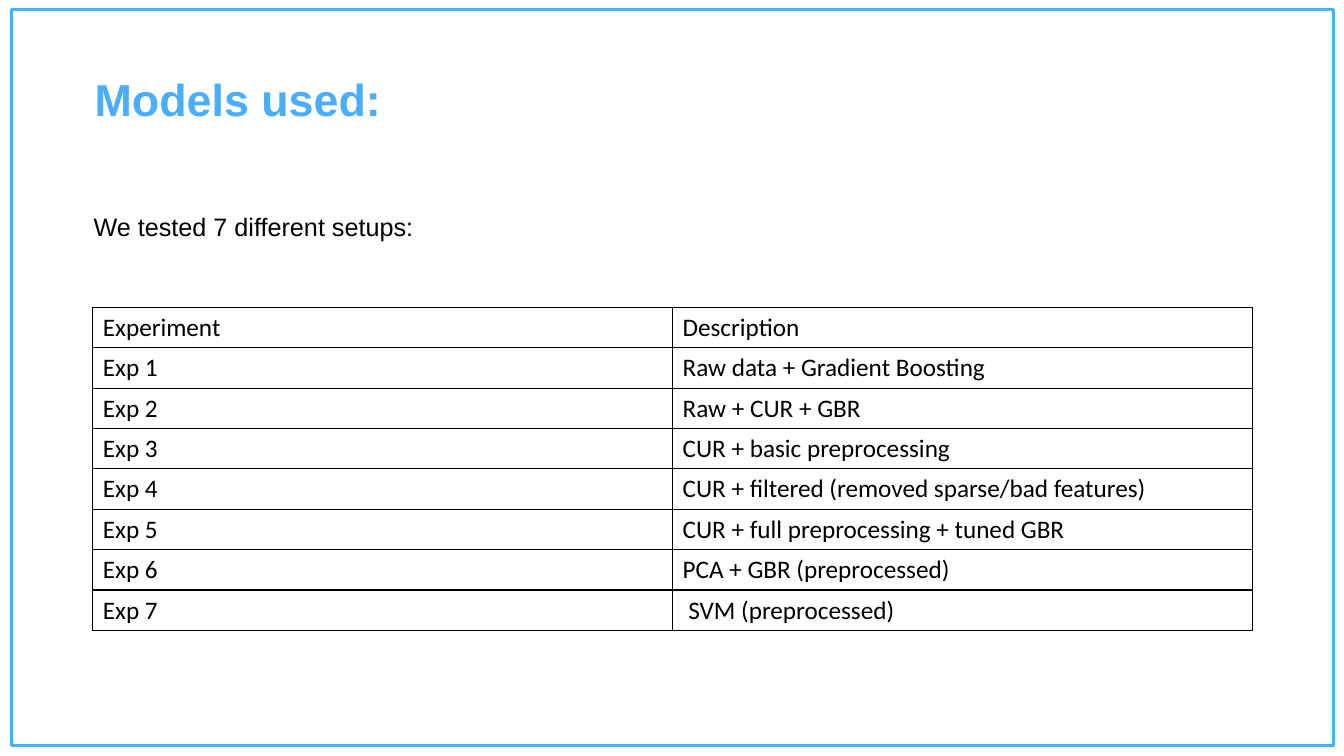
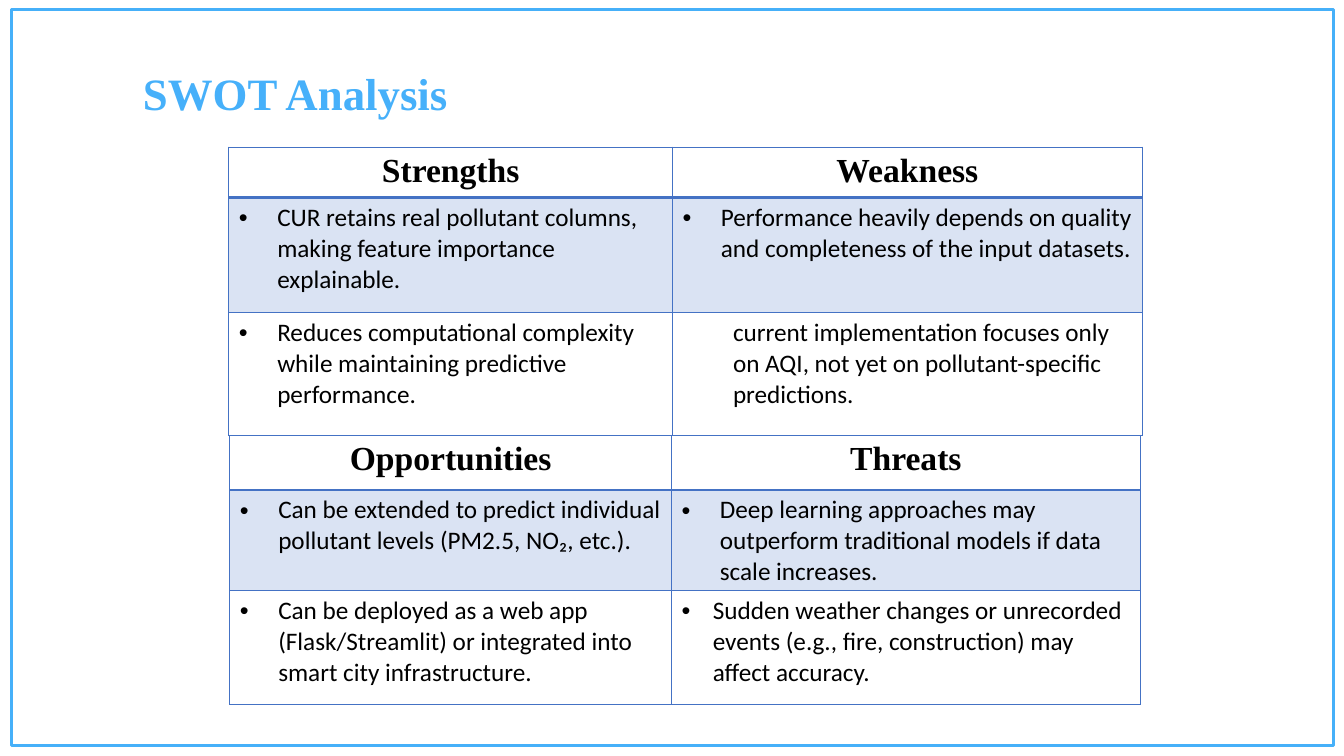
"""Build two slides: the tested model setups and a SWOT analysis."""
from lxml import etree
from pptx import Presentation
from pptx import util as u
from pptx.dml.color import RGBColor
from pptx.enum import shapes, text
from pptx.oxml import ns

SETUPS = [
    ("Experiment", "Description"),
    ("Exp 1", "Raw data + Gradient Boosting"),
    ("Exp 2", "Raw + CUR + GBR"),
    ("Exp 3", "CUR + basic preprocessing"),
    ("Exp 4", "CUR + filtered (removed sparse/bad features)"),
    ("Exp 5", "CUR + full preprocessing + tuned GBR"),
    ("Exp 6", "PCA + GBR (preprocessed)"),
    ("Exp 7", " SVM (preprocessed)"),
]
BULLET, TIGHT, PLAIN = (0.38, True), (0.31, True), (0.5, False)
SWOT = [
    dict(at=(2.27, 1.46), cols=(4.4, 4.66), rows=(0.49, 1.14, 1.22),
         heads=("Strengths", "Weakness"),
         points=[
             [("CUR retains real pollutant columns, making feature importance explainable.", BULLET),
              ("Performance heavily depends on quality and completeness of the input datasets.", BULLET)],
             [("Reduces computational complexity while maintaining predictive performance.", BULLET),
              ("current implementation focuses only on AQI, not yet on pollutant-specific predictions.", PLAIN)],
         ]),
    dict(at=(2.28, 4.32), cols=(4.38, 4.65), rows=(0.54, 1.0, 1.13),
         heads=("Opportunities", "Threats"),
         points=[
             [("Can be extended to predict individual pollutant levels (PM2.5, NO₂, etc.).", BULLET),
              ("Deep learning approaches may outperform traditional models if data scale increases.", BULLET)],
             [("Can be deployed as a web app (Flask/Streamlit) or integrated into smart city infrastructure.", BULLET),
              ("Sudden weather changes or unrecorded events (e.g., fire, construction) may affect accuracy.", TIGHT)],
         ]),
]


class Theme:
    """Colours, fonts and type sizes."""
    frame, ink, grid, rule, band = "46B0F9", "000000", "000000", "4472C4", "DAE3F3"
    sans, serif, body_font = "Arial", "Times New Roman", "Calibri"
    title, head, body = 32, 24, 18


def add_run(p, words, font, size, color=Theme.ink, bold=False):
    r = p.add_run()
    r.text = words
    r.font.name, r.font.size, r.font.bold = font, u.Pt(size), bold
    r.font.color.rgb = RGBColor.from_string(color)


def add_text(s, at, words, font, size, color=Theme.ink, bold=False):
    tf = s.shapes.add_textbox(*map(u.Inches, at)).text_frame
    tf.word_wrap = True
    add_run(tf.paragraphs[0], words, font, size, color, bold)
    return tf


def add_slide(prs, title, at, font, color):
    s = prs.slides.add_slide(prs.slide_layouts[6])
    sp = s.shapes.add_shape(shapes.MSO_SHAPE.RECTANGLE,
                            *map(u.Inches, (0.11, 0.09, 13.12, 7.31)))
    sp.shadow.inherit = False
    sp.fill.background()
    sp.line.color.rgb = RGBColor.from_string(Theme.frame)
    sp.line.width = u.Pt(2.25)
    add_text(s, at, title, font, Theme.title, color, True)
    return s


def set_borders(cell, color, top=1, bottom=1):
    tc_pr = cell._tc.get_or_add_tcPr()
    for side, width in (("L", 1), ("R", 1), ("T", top), ("B", bottom)):
        ln = etree.SubElement(tc_pr, ns.qn(f"a:ln{side}"), w=str(u.Pt(width)))
        fill = etree.SubElement(ln, ns.qn("a:solidFill"))
        etree.SubElement(fill, ns.qn("a:srgbClr"), val=color)


def set_indent(p, indent, bulleted):
    p_pr = p._p.get_or_add_pPr()
    p_pr.set("marL", str(u.Inches(indent)))
    p_pr.set("indent", str(-u.Inches(indent) if bulleted else 0))
    if bulleted:
        etree.SubElement(p_pr, ns.qn("a:buFont"), typeface="Arial")
        etree.SubElement(p_pr, ns.qn("a:buChar"), char="•")


def add_table(s, at, cols, rows):
    size = sum(cols), sum(rows)
    table = s.shapes.add_table(len(rows), len(cols), *map(u.Inches, (*at, *size))).table
    table.first_row = table.horz_banding = False
    for col, width in zip(table.columns, cols):
        col.width = u.Inches(width)
    for row, height in zip(table.rows, rows):
        row.height = u.Inches(height)
    return table


def add_setups(s):
    table = add_table(s, (0.92, 3.05), (5.75,) * 2, (0.4,) * len(SETUPS))
    for i, row in enumerate(SETUPS):
        for j, words in enumerate(row):
            cell = table.cell(i, j)
            set_borders(cell, Theme.grid)
            cell.fill.background()
            cell.vertical_anchor = text.MSO_ANCHOR.MIDDLE
            add_run(cell.text_frame.paragraphs[0], words, Theme.body_font, Theme.body)


def add_swot(s, at, cols, rows, heads, points):
    table = add_table(s, at, cols, rows)
    for j, words in enumerate(heads):
        cell = table.cell(0, j)
        set_borders(cell, Theme.rule, bottom=2)
        cell.fill.background()
        p = cell.text_frame.paragraphs[0]
        p.alignment = text.PP_ALIGN.CENTER
        add_run(p, words, Theme.serif, Theme.head, bold=True)
    for i, row in enumerate(points, 1):
        for j, (words, style) in enumerate(row):
            cell = table.cell(i, j)
            set_borders(cell, Theme.rule, top=2 if i == 1 else 1)
            if i == 1:
                cell.fill.solid()
                cell.fill.fore_color.rgb = RGBColor.from_string(Theme.band)
            else:
                cell.fill.background()
            p = cell.text_frame.paragraphs[0]
            set_indent(p, *style)
            add_run(p, words, Theme.body_font, Theme.body)


def main():
    prs = Presentation()
    prs.slide_width, prs.slide_height = u.Inches(13.33), u.Inches(7.5)

    s = add_slide(prs, "Models used:", (0.84, 0.66, 3.65, 0.64), Theme.sans, "4AAEFC")
    add_setups(s)
    tf = add_text(s, (0.83, 2, 11.5, 0.5), "We tested 7 different setups:",
                  Theme.sans, Theme.body)
    tf.vertical_anchor = text.MSO_ANCHOR.MIDDLE

    s = add_slide(prs, "SWOT Analysis", (1.32, 0.6, 11.5, 0.64), Theme.serif, "46B0FA")
    for block in SWOT:
        add_swot(s, **block)

    prs.save("out.pptx")


if __name__ == "__main__":
    main()
